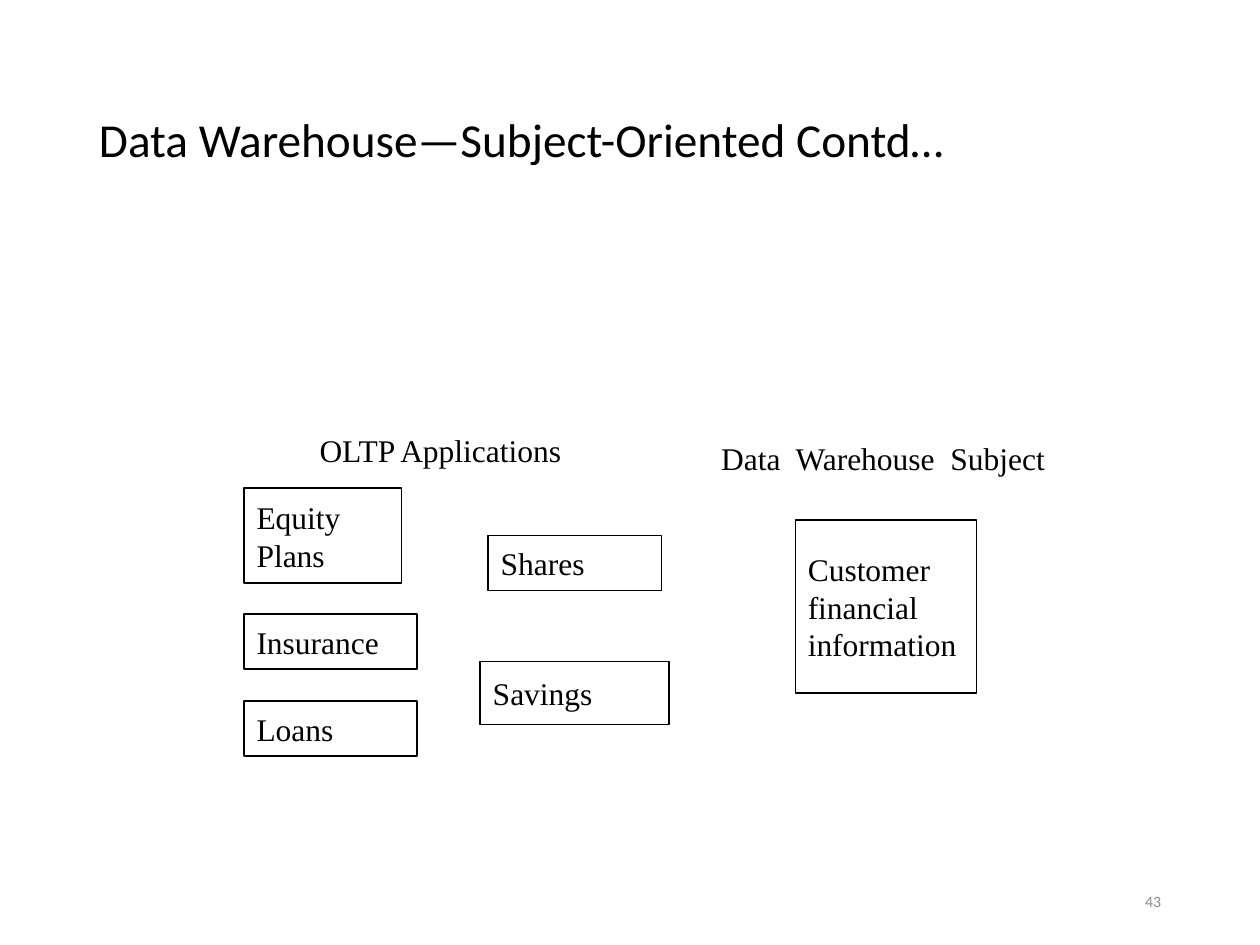
from dataclasses import dataclass

from pptx import Presentation
from pptx.dml.color import RGBColor as RGB
from pptx.enum.shapes import MSO_SHAPE as Shape
from pptx.enum.text import MSO_ANCHOR as Anchor, PP_ALIGN as Align
from pptx.util import Inches, Pt


@dataclass(frozen=True)
class Theme:
    ink: RGB = RGB(0x00, 0x00, 0x00)
    muted: RGB = RGB(0x8C, 0x8C, 0x8C)
    heading_font: str = "Calibri"
    body_font: str = "Times New Roman"
    title_size: int = 27
    body_size: int = 18
    number_size: int = 9
    line_width: int = 1


class Deck:
    """Slide builder on a grid of 160 columns by 120 rows."""

    COLS, ROWS = 160, 120

    def __init__(self, theme):
        self.theme = theme
        self.prs = Presentation()
        self.prs.slide_width, self.prs.slide_height = Inches(10), Inches(7.5)
        self.s = self.prs.slides.add_slide(self.prs.slide_layouts[6])

    def place(self, col, row, cols, rows):
        x, y = self.prs.slide_width / self.COLS, self.prs.slide_height / self.ROWS
        return round(col * x), round(row * y), round(cols * x), round(rows * y)

    def set_text(self, sp, text, font, size, color, anchor=Anchor.MIDDLE,
                 align=Align.LEFT, wrap=True, spacing=1.0):
        tf = sp.text_frame
        tf.text = text
        tf.word_wrap = wrap
        tf.vertical_anchor = anchor
        for p in tf.paragraphs:
            p.alignment = align
            p.line_spacing = spacing
            for r in p.runs:
                r.font.name = font
                r.font.size = Pt(size)
                r.font.color.rgb = color

    def title(self, text, *cell):
        t = self.theme
        sp = self.s.shapes.add_textbox(*self.place(*cell))
        self.set_text(sp, text, t.heading_font, t.title_size, t.ink, spacing=0.9)

    def page_number(self, text, *cell):
        t = self.theme
        sp = self.s.shapes.add_textbox(*self.place(*cell))
        self.set_text(sp, text, t.heading_font, t.number_size, t.muted, align=Align.RIGHT)

    def label(self, text, *cell):
        t = self.theme
        sp = self.s.shapes.add_textbox(*self.place(*cell))
        self.set_text(sp, text, t.body_font, t.body_size, t.ink, Anchor.TOP, wrap=False)

    def box(self, text, *cell):
        t = self.theme
        sp = self.s.shapes.add_shape(Shape.RECTANGLE, *self.place(*cell))
        sp.shadow.inherit = False
        sp.fill.background()
        sp.line.color.rgb = t.ink
        sp.line.width = Pt(t.line_width)
        self.set_text(sp, text, t.body_font, t.body_size, t.ink)


def main():
    deck = Deck(Theme())
    deck.title("Data Warehouse—Subject-Oriented Contd…", 11, 6.4, 138, 23.2)
    deck.page_number("43", 113, 111.2, 36, 6.4)

    boxes = [
        ("Equity\nPlans", 31, 62, 20, 12),
        ("Shares", 62, 68, 22, 7),
        ("Customer\nfinancial\ninformation", 101, 66, 23, 22),
        ("Savings", 61, 84, 24, 8),
        ("Insurance", 31, 78, 22, 7),
        ("Loans", 31, 89, 22, 7),
    ]
    for text, *cell in boxes:
        deck.box(text, *cell)

    deck.label("OLTP Applications", 39, 54, 34.2, 6.4)
    deck.label("Data  Warehouse  Subject", 90, 55, 44.8, 6.4)
    deck.prs.save("out.pptx")


if __name__ == "__main__":
    main()
